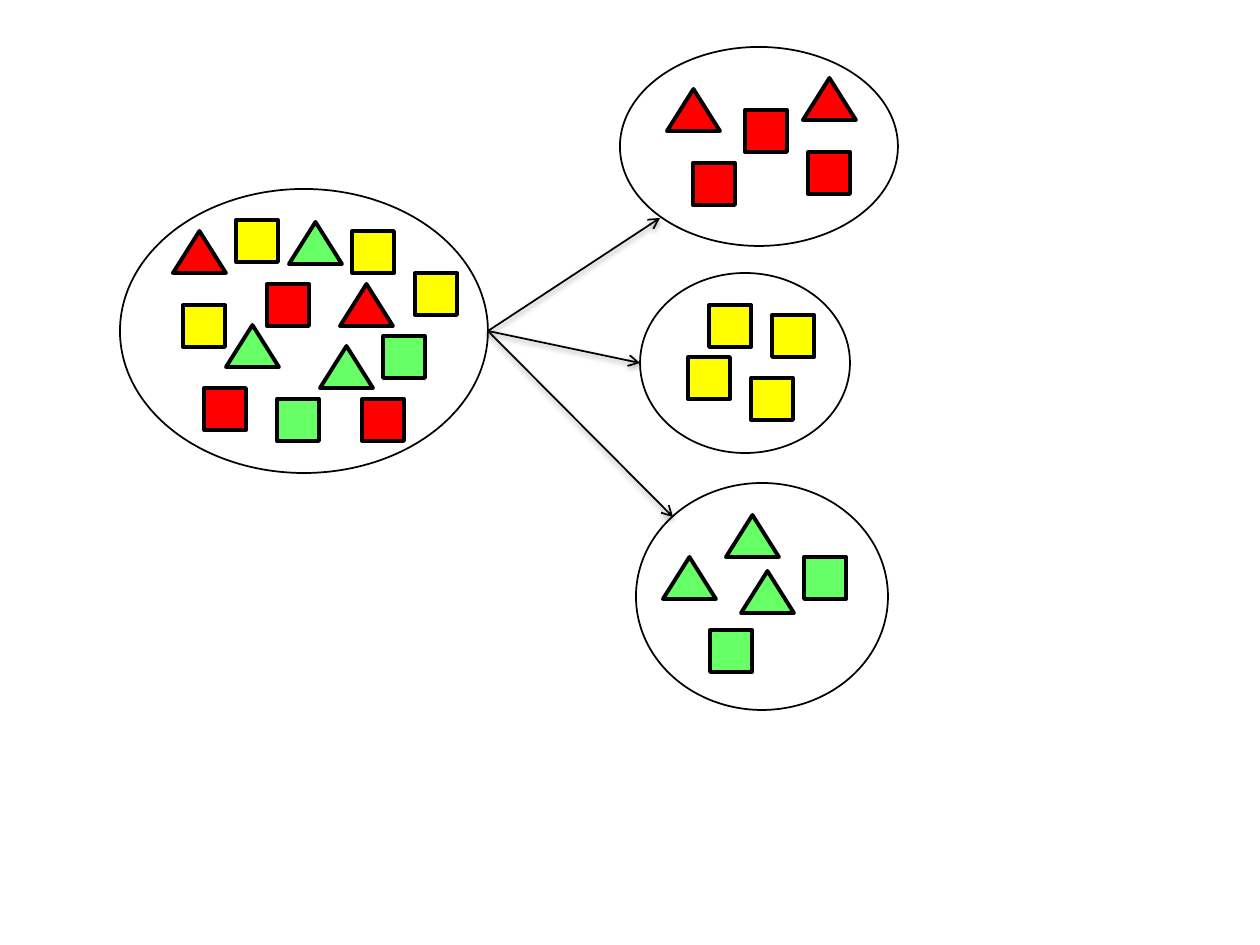
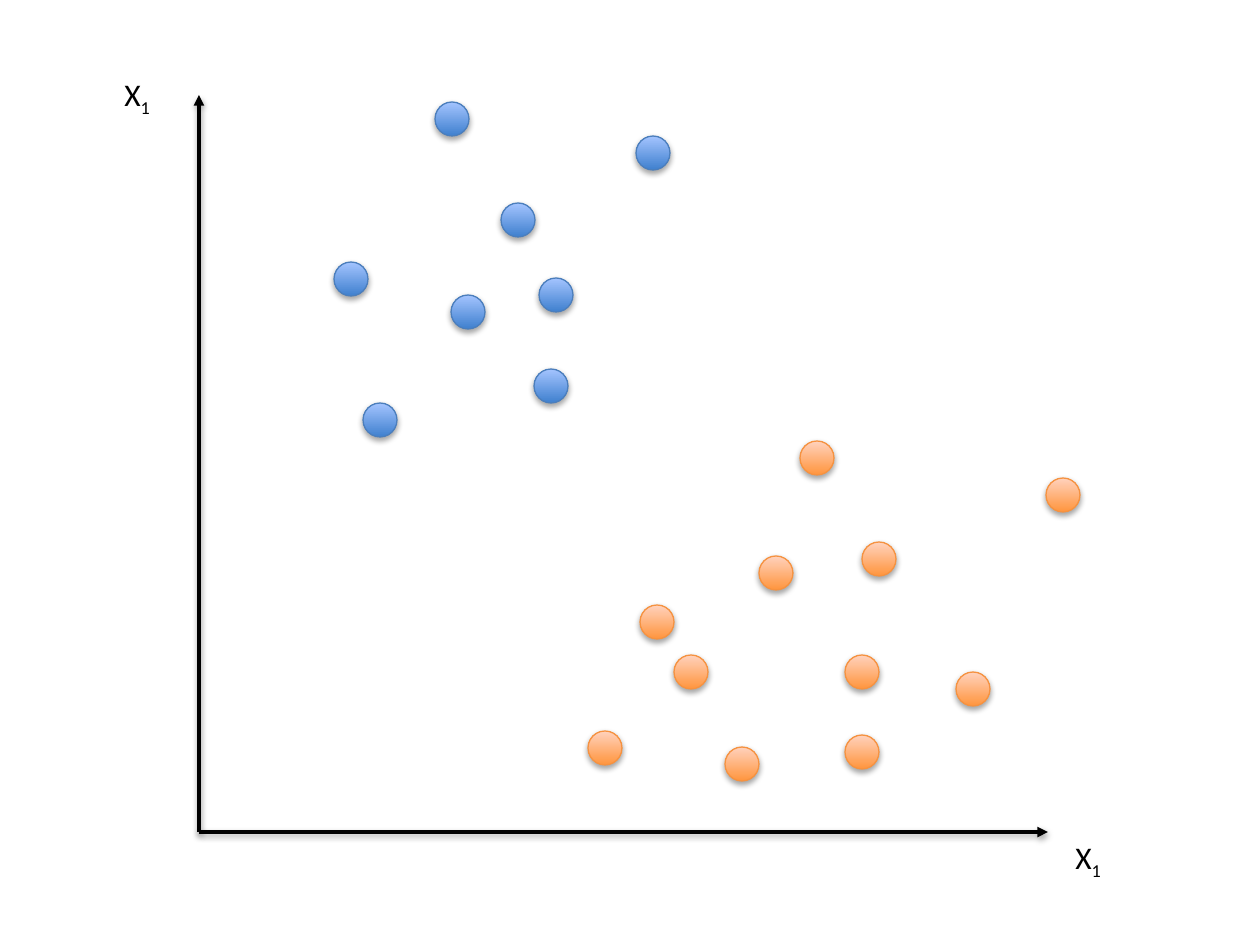
from lxml.etree import SubElement
from pptx import Presentation
from pptx.dml.color import RGBColor
from pptx.enum.shapes import MSO_CONNECTOR, MSO_SHAPE
from pptx.enum.text import MSO_AUTO_SIZE
from pptx.oxml.ns import qn
from pptx.util import Emu, Inches, Pt

BLACK = RGBColor(0x00, 0x00, 0x00)
RED = RGBColor(0xFF, 0x00, 0x00)
YELLOW = RGBColor(0xFF, 0xFF, 0x00)
GREEN = RGBColor(0x66, 0xFF, 0x66)
BLUE_DEEP = RGBColor(0x3F, 0x80, 0xCE)
BLUE_PALE = RGBColor(0xA4, 0xC4, 0xFF)
BLUE_EDGE = RGBColor(0x4B, 0x7E, 0xBC)
ORANGE_DEEP = RGBColor(0xFF, 0x95, 0x3E)
ORANGE_PALE = RGBColor(0xFF, 0xD2, 0xBD)
ORANGE_EDGE = RGBColor(0xF6, 0x92, 0x40)
BLUE = (BLUE_DEEP, BLUE_PALE, BLUE_EDGE)
ORANGE = (ORANGE_DEEP, ORANGE_PALE, ORANGE_EDGE)


def px(value):
    return Emu(round(value * 914400 / 126))


class Board:
    font = "Calibri"
    side = 42
    base = 53
    dot_size = 34

    def __init__(self, deck):
        self.deck = deck
        self.slide = None

    def start(self):
        self.slide = self.deck.slides.add_slide(self.deck.slide_layouts[6])

    def shape(self, kind, x, y, w, h, edge, width):
        shape = self.slide.shapes.add_shape(kind, px(x), px(y), px(w), px(h))
        shape.line.color.rgb = edge
        shape.line.width = Pt(width)
        shape.shadow.inherit = False
        return shape

    def square(self, x, y, color):
        shape = self.shape(MSO_SHAPE.RECTANGLE, x, y, self.side, self.side, BLACK, 2.25)
        shape.fill.solid()
        shape.fill.fore_color.rgb = color

    def triangle(self, x, y, color):
        shape = self.shape(MSO_SHAPE.ISOSCELES_TRIANGLE, x, y, self.base, self.side, BLACK, 2.25)
        shape.fill.solid()
        shape.fill.fore_color.rgb = color

    def ring(self, x, y, w, h):
        self.shape(MSO_SHAPE.OVAL, x, y, w, h, BLACK, 1).fill.background()

    def dot(self, x, y, tone):
        deep, pale, edge = tone
        shape = self.shape(MSO_SHAPE.OVAL, x, y, self.dot_size, self.dot_size, edge, 0.75)
        shape.fill.gradient()
        shape.fill.gradient_angle = 90
        for stop, color in zip(shape.fill.gradient_stops, (deep, pale)):
            stop.color.rgb = color
        self.shade(shape.element.spPr.find(qn("a:effectLst")), 23000, 35000)

    def arrow(self, start, end, width, head):
        line = self.slide.shapes.add_connector(
            MSO_CONNECTOR.STRAIGHT, *map(px, start + end))
        line.line.color.rgb = BLACK
        line.line.width = Pt(width)
        SubElement(line.line._get_or_add_ln(), qn("a:tailEnd"), type=head)
        effects = SubElement(line._element.spPr, qn("a:effectLst"))
        self.shade(effects, 20000, 38000)

    def shade(self, effects, dist, alpha):
        shadow = SubElement(effects, qn("a:outerShdw"), blurRad="40000",
                            dist=str(dist), dir="5400000", rotWithShape="0")
        color = SubElement(shadow, qn("a:srgbClr"), val=str(BLACK))
        SubElement(color, qn("a:alpha"), val=str(alpha))

    def label(self, x, y, text, index):
        frame = self.slide.shapes.add_textbox(px(x), px(y), px(53), px(50)).text_frame
        frame.word_wrap = False
        frame.auto_size = MSO_AUTO_SIZE.SHAPE_TO_FIT_TEXT
        par = frame.paragraphs[0]
        par.font.name = self.font
        par.font.size = Pt(18)
        par.font.color.rgb = BLACK
        par.add_run().text = text
        sub = par.add_run()
        sub.text = index
        sub.font._element.set("baseline", "-25000")


GROUPS = [
    ((120, 189, 368, 284),
     [(RED, [(340, 284), (173, 231)]),
      (GREEN, [(320, 346), (289, 222), (226, 325)])],
     [(RED, [(267, 284), (204, 388), (362, 399)]),
      (YELLOW, [(236, 220), (415, 273), (183, 305), (352, 231)]),
      (GREEN, [(277, 399), (383, 336)])]),
    ((620, 47, 278, 199),
     [(RED, [(803, 78), (667, 89)])],
     [(RED, [(745, 110), (693, 163), (808, 152)])]),
    ((640, 273, 210, 180),
     [],
     [(YELLOW, [(709, 305), (751, 378), (688, 357), (772, 315)])]),
    ((636, 483, 252, 227),
     [(GREEN, [(741, 571), (726, 515), (663, 557)])],
     [(GREEN, [(710, 630), (804, 557)])]),
]
SOURCE = (488, 331)
TARGETS = [(660, 218), (640, 363), (673, 517)]

CLUSTERS = [
    (BLUE, [(435, 102), (534, 369), (363, 403), (636, 136),
            (501, 203), (451, 295), (334, 262), (539, 278)]),
    (ORANGE, [(640, 605), (674, 655), (800, 441), (759, 556),
              (862, 542), (725, 747), (588, 731), (1046, 478),
              (845, 655), (845, 735), (956, 672)]),
]
ORIGIN = (199, 832)

deck = Presentation()
deck.slide_width = Inches(10)
deck.slide_height = Inches(7.5)
board = Board(deck)

board.start()
for ring, triangles, squares in GROUPS:
    for draw, sets in ((board.triangle, triangles), (board.square, squares)):
        for color, spots in sets:
            for x, y in spots:
                draw(x, y, color)
    board.ring(*ring)
for target in TARGETS:
    board.arrow(SOURCE, target, 1, "arrow")

board.start()
for end in ((199, 95), (1048, 832)):
    board.arrow(ORIGIN, end, 2, "triangle")
for x, y in ((1063, 832), (112, 69)):
    board.label(x, y, "X", "1")
for tone, spots in CLUSTERS:
    for x, y in spots:
        board.dot(x, y, tone)

deck.save("out.pptx")
